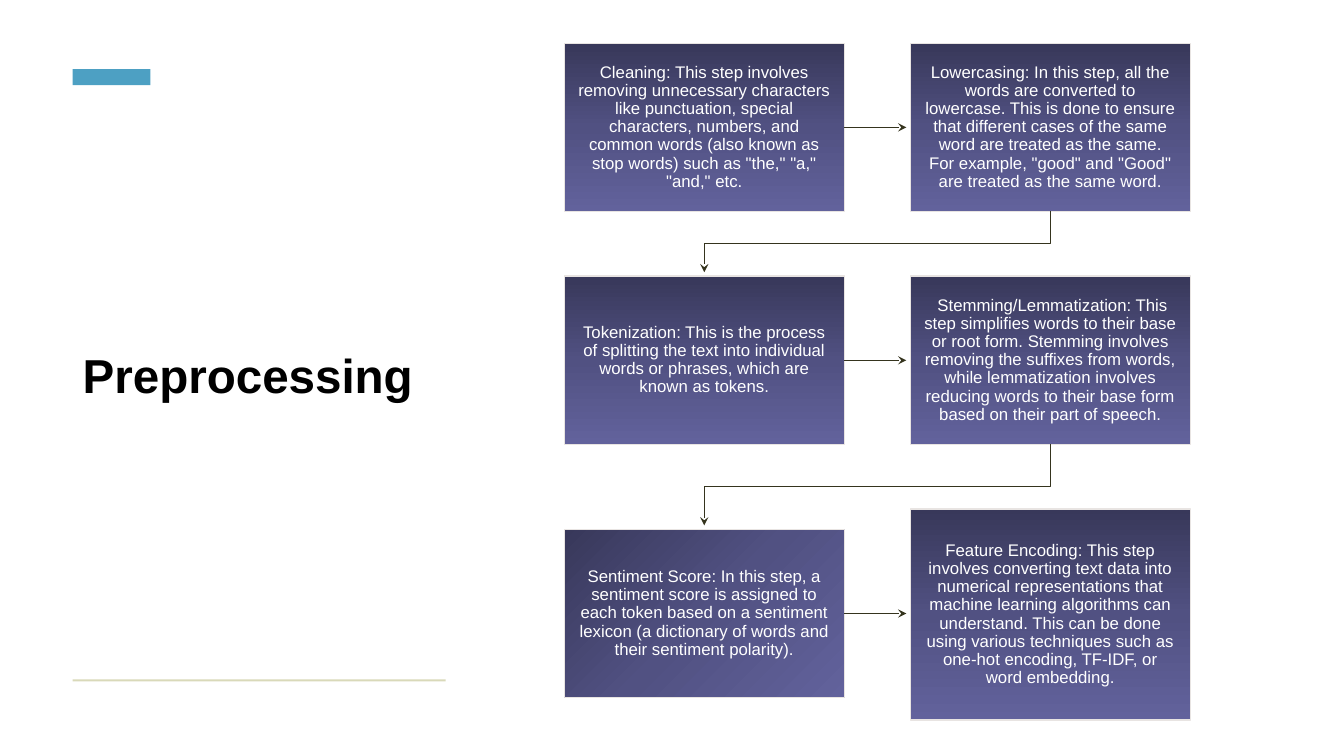
from copy import deepcopy

from lxml import etree
from pptx import Presentation
from pptx.dml.color import RGBColor
from pptx.enum.shapes import MSO_CONNECTOR, MSO_SHAPE
from pptx.enum.text import MSO_ANCHOR, MSO_AUTO_SIZE, PP_ALIGN
from pptx.oxml.ns import qn
from pptx.util import Cm, Pt

RECTANGLE = MSO_SHAPE.RECTANGLE
STRAIGHT = MSO_CONNECTOR.STRAIGHT
MIDDLE = MSO_ANCHOR.MIDDLE
LEFT = PP_ALIGN.LEFT
CENTER = PP_ALIGN.CENTER
NO_AUTOFIT = MSO_AUTO_SIZE.NONE

BLACK = RGBColor(0x00, 0x00, 0x00)
WHITE = RGBColor(0xFF, 0xFF, 0xFF)
ACCENT_BLUE = RGBColor(0x4D, 0xA0, 0xC3)
RULE_BEIGE = RGBColor(0xD9, 0xD9, 0xB9)
ARROW_DARK = RGBColor(0x35, 0x34, 0x1E)
BOX_BORDER = RGBColor(0xE8, 0xE4, 0xE2)
BOX_DARK = RGBColor(0x38, 0x38, 0x5A)
BOX_MEDIUM = RGBColor(0x51, 0x51, 0x82)
BOX_LIGHT = RGBColor(0x62, 0x62, 0x9C)

FONT = "Arial"
COLUMN_LEFTS = (14.22, 22.94)
BOX_WIDTH = 7.06
BOX_HEIGHT = 4.24
ARROW_GAP = 0.1

STEPS = [
    (0, 1.09, BOX_HEIGHT, 270,
     'Cleaning: This step involves removing unnecessary characters like punctuation, '
     'special characters, numbers, and common words (also known as stop words) such as '
     '"the," "a," "and," etc.'),
    (1, 1.09, BOX_HEIGHT, 270,
     'Lowercasing: In this step, all the words are converted to lowercase. This is done '
     'to ensure that different cases of the same word are treated as the same. For '
     'example, "good" and "Good" are treated as the same word.'),
    (0, 6.96, BOX_HEIGHT, 270,
     'Tokenization: This is the process of splitting the text into individual words or '
     'phrases, which are known as tokens.'),
    (1, 6.96, BOX_HEIGHT, 270,
     ' Stemming/Lemmatization: This step simplifies words to their base or root form. '
     'Stemming involves removing the suffixes from words, while lemmatization involves '
     'reducing words to their base form based on their part of speech.'),
    (0, 13.34, BOX_HEIGHT, 315,
     'Sentiment Score: In this step, a sentiment score is assigned to each token based '
     'on a sentiment lexicon (a dictionary of words and their sentiment polarity).'),
    (1, 12.83, 5.31, 270,
     'Feature Encoding: This step involves converting text data into numerical '
     'representations that machine learning algorithms can understand. This can be done '
     'using various techniques such as one-hot encoding, TF-IDF, or word embedding.'),
]


def style_arrow(arrow):
    arrow.line.color.rgb = ARROW_DARK
    arrow.line.width = Pt(0.75)
    etree.SubElement(arrow.line._get_or_add_ln(), qn("a:tailEnd"), type="stealth")


def format_text(text_frame, alignment, size, color, bold):
    text_frame.word_wrap = True
    text_frame.auto_size = NO_AUTOFIT
    text_frame.vertical_anchor = MIDDLE
    paragraph = text_frame.paragraphs[0]
    paragraph.alignment = alignment
    paragraph.line_spacing = 0.9
    font = paragraph.runs[0].font
    font.name = FONT
    font.size = Pt(size)
    font.bold = bold
    font.color.rgb = color


presentation = Presentation()
presentation.slide_width = Cm(33.87)
presentation.slide_height = Cm(19.05)
slide = presentation.slides.add_slide(presentation.slide_layouts[5])

title = slide.shapes.title
title.left, title.top, title.width, title.height = Cm(1.83), Cm(2.67), Cm(9.4), Cm(13.74)
title.text_frame.text = "Preprocessing"
format_text(title.text_frame, LEFT, 34, BLACK, True)

for top, width, height, color in ((1.74, 1.96, 0.41, ACCENT_BLUE),
                                  (17.12, 9.4, 0.05, RULE_BEIGE)):
    bar = slide.shapes.add_shape(RECTANGLE, Cm(1.83), Cm(top), Cm(width), Cm(height))
    bar.shadow.inherit = False
    bar.fill.solid()
    bar.fill.fore_color.rgb = color
    bar.line.fill.background()

for column, top, height, angle, text in STEPS:
    box = slide.shapes.add_shape(
        RECTANGLE, Cm(COLUMN_LEFTS[column]), Cm(top), Cm(BOX_WIDTH), Cm(height))
    box.shadow.inherit = False
    box.fill.gradient()
    box.fill.gradient_angle = angle
    stop_list = box._element.spPr.find(qn("a:gradFill")).find(qn("a:gsLst"))
    stop_list.insert(1, deepcopy(stop_list[0]))
    for stop, position, color in zip(box.fill.gradient_stops, (0, 0.5, 1),
                                     (BOX_DARK, BOX_MEDIUM, BOX_LIGHT)):
        stop.position = position
        stop.color.rgb = color
    box.line.color.rgb = BOX_BORDER
    box.line.width = Pt(1)
    text_frame = box.text_frame
    text_frame.margin_left = text_frame.margin_right = Cm(0.35)
    text_frame.margin_top = text_frame.margin_bottom = Cm(0.35)
    text_frame.text = text
    format_text(text_frame, CENTER, 12, WHITE, False)

row_tops = [top for column, top, *rest in STEPS if column == 0]
for row_top in row_tops:
    center = Cm(row_top + BOX_HEIGHT / 2)
    connector = slide.shapes.add_connector(
        STRAIGHT, Cm(COLUMN_LEFTS[0] + BOX_WIDTH), center,
        Cm(COLUMN_LEFTS[1] - ARROW_GAP), center)
    etree.SubElement(connector._element.spPr, qn("a:effectLst"))
    style_arrow(connector)

left_center, right_center = [Cm(left + BOX_WIDTH / 2) for left in COLUMN_LEFTS]
for row_top, next_top in zip(row_tops, row_tops[1:]):
    row_bottom = row_top + BOX_HEIGHT
    bend = Cm((row_bottom + next_top) / 2)
    builder = slide.shapes.build_freeform(right_center, Cm(row_bottom))
    builder.add_line_segments(
        [(right_center, bend), (left_center, bend), (left_center, Cm(next_top - ARROW_GAP))],
        close=False)
    elbow = builder.convert_to_shape()
    elbow.shadow.inherit = False
    elbow.fill.background()
    style_arrow(elbow)

presentation.save("out.pptx")
